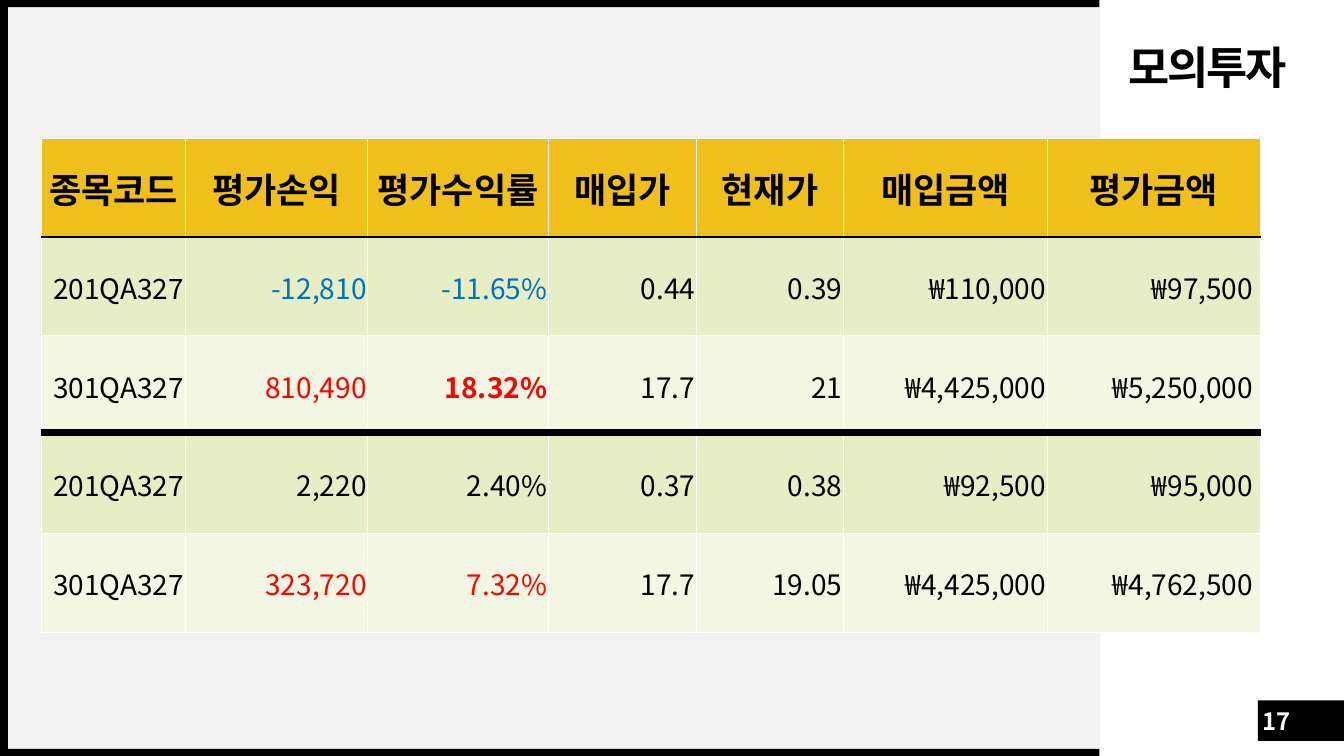
"""Build the mock investment results slide."""
from dataclasses import dataclass

import pptx
import pptx.dml.color
import pptx.enum.shapes
import pptx.enum.text
import pptx.oxml
import pptx.oxml.ns
import pptx.util

Cm = pptx.util.Cm
PP_ALIGN = pptx.enum.text.PP_ALIGN
MIDDLE = pptx.enum.text.MSO_ANCHOR.MIDDLE
FONT = "Noto Sans CJK KR"
BLACK, WHITE, RED, BLUE = "000000", "FFFFFF", "FF0000", "0070C0"
HEADER_FILL, BANDS = "EFBF1B", ("E7EDC5", "F3F6E2")
SLIDE_W, SLIDE_H, FRAME_W, EDGE = 33.87, 19.05, 27.71, 0.18
TABLE_X, TABLE_Y, ROW_H = 1.04, 3.48, 2.49
COL_WIDTHS = (3.63, 4.6, 4.55, 3.73, 3.71, 5.13, 5.38)
HEADERS = ("종목코드", "평가손익", "평가수익률", "매입가", "현재가", "매입금액", "평가금액")


@dataclass
class Box:
    x: float
    y: float
    w: float
    h: float
    fill: str = BLACK


@dataclass
class Holding:
    values: tuple[str, ...]
    profit_color: str = BLACK
    bold_rate: bool = False


@dataclass
class Style:
    size: float
    color: str = BLACK
    bold: bool = False
    align: PP_ALIGN = PP_ALIGN.LEFT


BOXES = [
    Box(0.2, EDGE, 27.53, SLIDE_H - 2 * EDGE, "F2F2F2"),
    Box(31.7, 17.65, 2.17, 1.02),
    Box(0, SLIDE_H - EDGE, FRAME_W, EDGE),
    Box(0, 0, FRAME_W, EDGE),
    Box(0, 0, 0.2, SLIDE_H),
]
HOLDINGS = [
    Holding(("201QA327", "-12,810", "-11.65%", "0.44", "0.39", "₩110,000", "₩97,500"), BLUE),
    Holding(("301QA327", "810,490", "18.32%", "17.7", "21", "₩4,425,000", "₩5,250,000"), RED, True),
    Holding(("201QA327", "2,220", "2.40%", "0.37", "0.38", "₩92,500", "₩95,000")),
    Holding(("301QA327", "323,720", "7.32%", "17.7", "19.05", "₩4,425,000", "₩4,762,500"), RED),
]


def rgb(color: str) -> pptx.dml.color.RGBColor:
    """Turn a hex string into a colour."""
    return pptx.dml.color.RGBColor.from_string(color)


def add_box(s, box: Box) -> None:
    """Draw a plain filled rectangle."""
    sp = s.shapes.add_shape(pptx.enum.shapes.MSO_SHAPE.RECTANGLE,
                            Cm(box.x), Cm(box.y), Cm(box.w), Cm(box.h))
    sp.shadow.inherit = False
    sp.fill.solid()
    sp.fill.fore_color.rgb = rgb(box.fill)
    sp.line.fill.background()


def write(tf, text: str, style: Style):
    """Write one styled run into the first paragraph and return the run."""
    p = tf.paragraphs[0]
    p.alignment = style.align
    r = p.add_run()
    r.text = text
    r.font.size = pptx.util.Pt(style.size)
    r.font.bold = style.bold
    r.font.color.rgb = rgb(style.color)
    r.font.name = FONT
    ea = pptx.oxml.parse_xml(f'<a:ea {pptx.oxml.ns.nsdecls("a")} typeface="{FONT}"/>')
    r.font._element.append(ea)
    return r


def add_text(s, box: Box, text: str, style: Style, inset: tuple[float, float]):
    """Add a text box with horizontal and vertical insets and return its run."""
    tf = s.shapes.add_textbox(Cm(box.x), Cm(box.y), Cm(box.w), Cm(box.h)).text_frame
    tf.word_wrap = True
    tf.vertical_anchor = MIDDLE
    tf.margin_left = tf.margin_right = Cm(inset[0])
    tf.margin_top = tf.margin_bottom = Cm(inset[1])
    return write(tf, text, style)


def set_borders(cell, top: str, bottom: str) -> None:
    """Give a cell one-point borders, white at the sides."""
    tc_pr = cell._tc.get_or_add_tcPr()
    for side, color in (("L", WHITE), ("R", WHITE), ("T", top), ("B", bottom)):
        tc_pr.append(pptx.oxml.parse_xml(
            f'<a:ln{side} {pptx.oxml.ns.nsdecls("a")} w="12700"><a:solidFill>'
            f'<a:srgbClr val="{color}"/></a:solidFill></a:ln{side}>'))


def fill_cell(cell, text: str, style: Style, fill: str, right: float) -> None:
    """Set the text, fill and margins of a cell."""
    cell.fill.solid()
    cell.fill.fore_color.rgb = rgb(fill)
    cell.vertical_anchor = MIDDLE
    cell.margin_left = cell.margin_top = Cm(0.03)
    cell.margin_right, cell.margin_bottom = Cm(right), Cm(0)
    write(cell.text_frame, text, style)


def add_holdings(s) -> None:
    """Add the table of holdings."""
    n_rows, n_cols = len(HOLDINGS) + 1, len(HEADERS)
    table = s.shapes.add_table(n_rows, n_cols, Cm(TABLE_X), Cm(TABLE_Y),
                               Cm(sum(COL_WIDTHS)), Cm(n_rows * ROW_H)).table
    table.first_row = table.horz_banding = False
    for row in table.rows:
        row.height = Cm(ROW_H)
    for j, width in enumerate(COL_WIDTHS):
        table.columns[j].width = Cm(width)
        cell = table.cell(0, j)
        set_borders(cell, WHITE, BLACK)
        fill_cell(cell, HEADERS[j], Style(25, bold=True, align=PP_ALIGN.CENTER), HEADER_FILL, 0.03)
    for i, holding in enumerate(HOLDINGS, 1):
        for j, value in enumerate(holding.values):
            color = holding.profit_color if j in (1, 2) else BLACK
            style = Style(20, color, holding.bold_rate and j == 2, PP_ALIGN.RIGHT)
            cell = table.cell(i, j)
            set_borders(cell, BLACK if i == 1 else WHITE, WHITE)
            fill_cell(cell, value, style, BANDS[(i - 1) % 2], 0.19 if j == n_cols - 1 else 0.03)


def add_divider(s, y: float) -> None:
    """Add the thick line between the two groups of holdings."""
    line = s.shapes.add_connector(pptx.enum.shapes.MSO_CONNECTOR.STRAIGHT, Cm(TABLE_X), Cm(y),
                                  Cm(TABLE_X + sum(COL_WIDTHS)), Cm(y))
    line.line.color.rgb = rgb(BLACK)
    line.line.width = pptx.util.Pt(4.5)
    line._element.spPr.append(
        pptx.oxml.parse_xml(f'<a:effectLst {pptx.oxml.ns.nsdecls("a")}/>'))


def main() -> None:
    """Build and save the slide."""
    prs = pptx.Presentation()
    prs.slide_width, prs.slide_height = Cm(SLIDE_W), Cm(SLIDE_H)
    s = prs.slides.add_slide(prs.slide_layouts[6])
    for box in BOXES:
        add_box(s, box)
    add_text(s, Box(31.8, 17.78, 0.76, 0.76), "17",
             Style(17, WHITE, True, PP_ALIGN.CENTER), (0, 0))
    add_holdings(s)
    title = add_text(s, Box(28.19, 1.02, 4.95, 1.5), "모의투자", Style(32, bold=True), (0.25, 0.13))
    title.font._element.set("spc", "-150")
    title._parent.line_spacing = 0.9
    add_divider(s, 10.9)
    prs.save("out.pptx")


if __name__ == "__main__":
    main()
